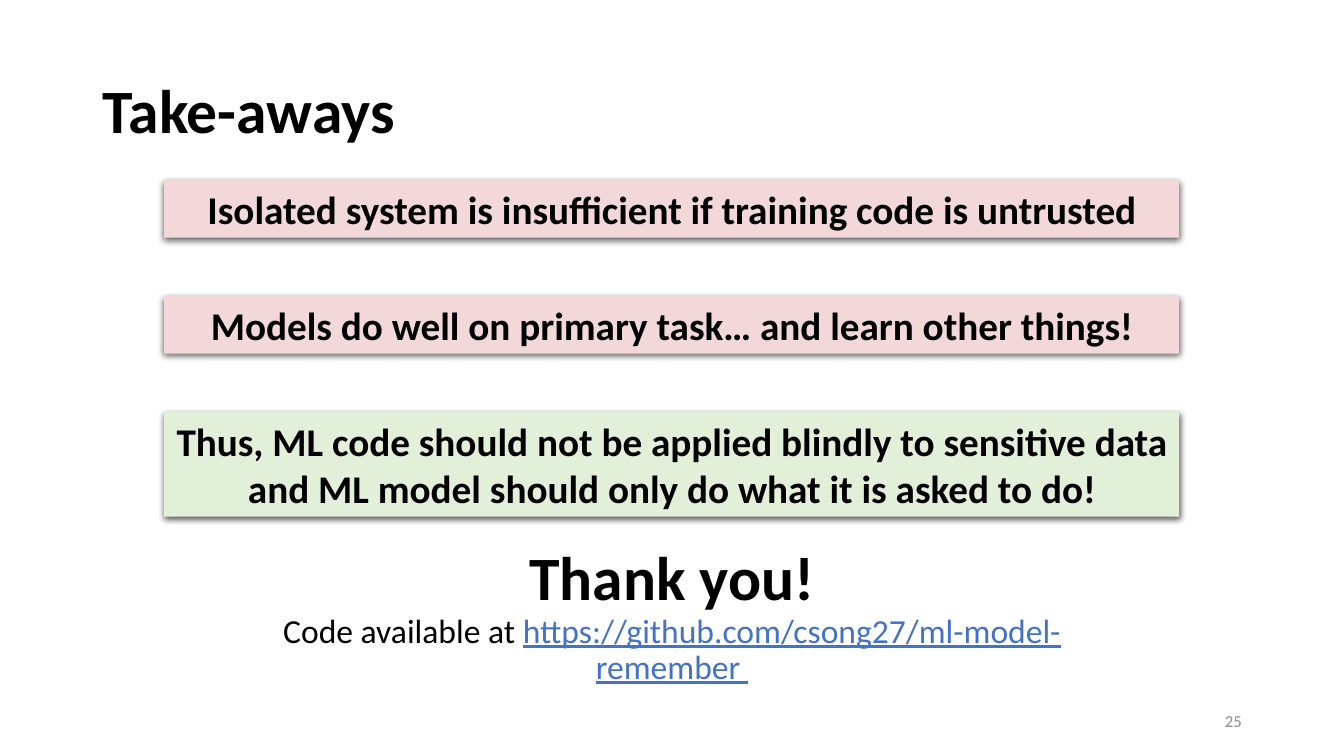
from lxml import etree
from pptx import Presentation
from pptx.dml.color import RGBColor
from pptx.enum.shapes import MSO_SHAPE
from pptx.enum.text import MSO_ANCHOR, PP_ALIGN
from pptx.oxml import parse_xml
from pptx.oxml.ns import qn
from pptx.util import Cm, Pt

RECT = MSO_SHAPE.RECTANGLE
MIDDLE = MSO_ANCHOR.MIDDLE
LEFT, CENTER, RIGHT = PP_ALIGN.LEFT, PP_ALIGN.CENTER, PP_ALIGN.RIGHT
COLORS = {"text": "000000", "pink": "F2D8D8", "green": "E2F0D9",
          "link": "4472C4", "number": "8C8C8C"}
SHADOW = ('<a:outerShdw xmlns:a="http://schemas.openxmlformats.org/drawingml/2006/main"'
          ' blurRad="57150" dist="19050" dir="5400000" algn="ctr" rotWithShape="0">'
          '<a:srgbClr val="000000"><a:alpha val="63000"/></a:srgbClr></a:outerShdw>')


def add_run(p, text, size, bold=False, color="text", underline=None):
    r = p.add_run()
    r.text = text
    r.font.name = "Calibri"
    r.font.size = Pt(size)
    r.font.bold = bold
    r.font.underline = underline
    r.font.color.rgb = RGBColor.from_string(COLORS[color])


def add_text_box(s, left, top, width, height):
    tf = s.shapes.add_textbox(Cm(left), Cm(top), Cm(width), Cm(height)).text_frame
    tf.word_wrap = True
    tf.vertical_anchor = MIDDLE
    return tf


prs = Presentation()
prs.slide_width, prs.slide_height = Cm(33.87), Cm(19.05)
s = prs.slides.add_slide(prs.slide_layouts[5])

# Title
title = s.shapes.title
title.left, title.top, title.width, title.height = Cm(2.34), Cm(1.02), Cm(29.21), Cm(3.68)
title.text_frame.vertical_anchor = MIDDLE
p = title.text_frame.paragraphs[0]
p.alignment = LEFT
p.line_spacing = 0.9
add_run(p, "Take-aways", 44, bold=True)

# Take-away bars, evenly pitched
bars = [
    ("pink", 1.45, ["Isolated system is insufficient if training code is untrusted"]),
    ("pink", 1.45, ["Models do well on primary task… and learn other things!"]),
    ("green", 2.64, ["Thus, ML code should not be applied blindly to sensitive data",
                     "and ML model should only do what it is asked to do!"]),
]
for i, (fill, height, lines) in enumerate(bars):
    sp = s.shapes.add_shape(RECT, Cm(4.14), Cm(4.54 + 2.92 * i), Cm(25.58), Cm(height))
    sp.fill.solid()
    sp.fill.fore_color.rgb = RGBColor.from_string(COLORS[fill])
    sp.line.fill.background()
    sp.shadow.inherit = False
    effects = sp.element.spPr.find(qn("a:effectLst"))
    effects.append(parse_xml(etree.tostring(etree.fromstring(SHADOW))))
    tf = sp.text_frame
    tf.word_wrap = True
    for j, line in enumerate(lines):
        p = tf.add_paragraph() if j else tf.paragraphs[0]
        p.alignment = CENTER
        add_run(p, line, 28, bold=True)

# Thanks and code address
tf = add_text_box(s, 5.16, 13.44, 23.55, 4.22)
p = tf.paragraphs[0]
add_run(p, "Thank you!", 44, bold=True)
p = tf.add_paragraph()
add_run(p, "Code available at ", 24)
add_run(p, "https://github.com/csong27/ml-model-remember ", 24, color="link", underline=True)
for p in tf.paragraphs:
    p.alignment = CENTER
    p.line_spacing = 0.9

# Slide number
p = add_text_box(s, 23.93, 17.65, 7.62, 1.02).paragraphs[0]
p.alignment = RIGHT
add_run(p, "25", 12, color="number")

prs.save("out.pptx")
